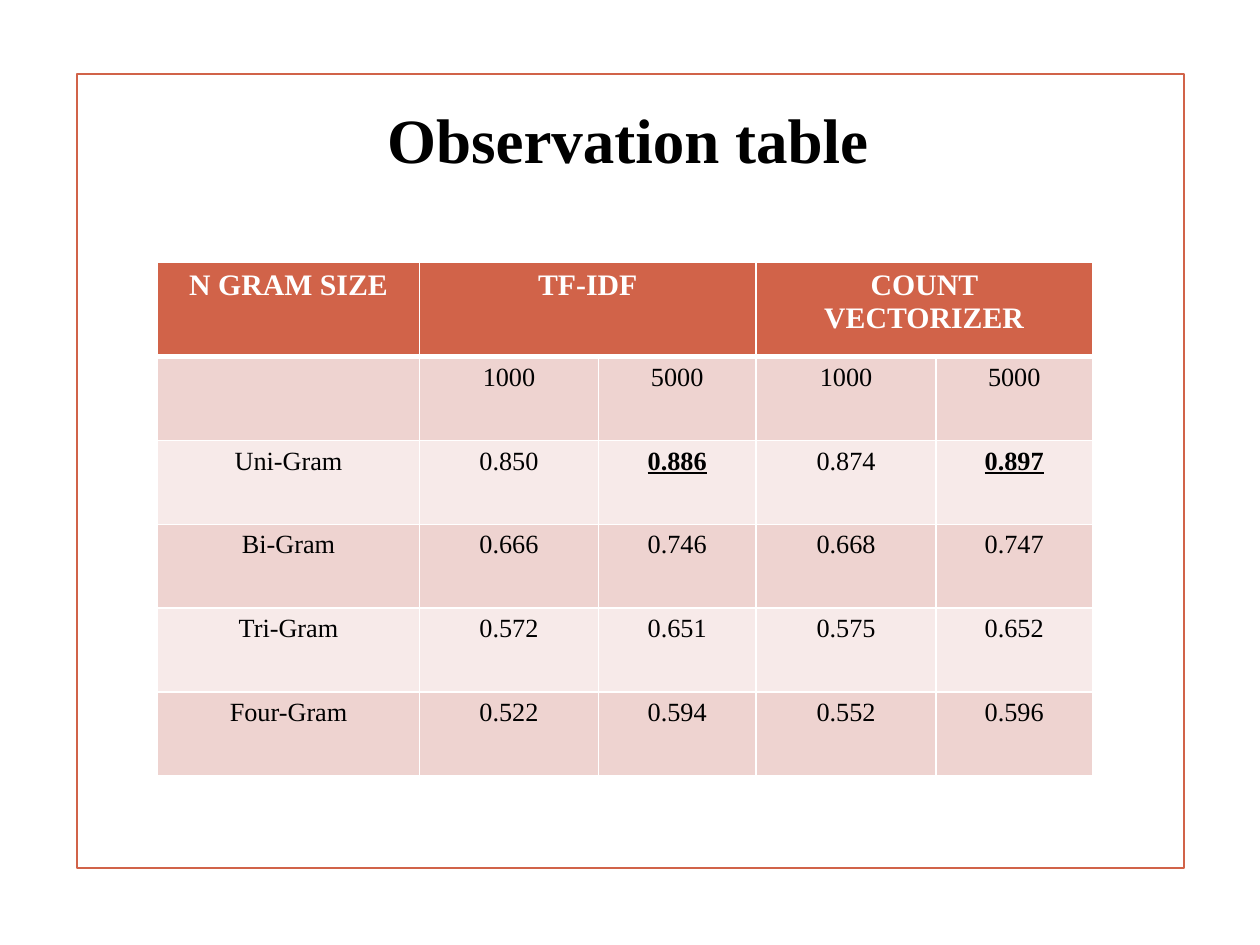
from lxml.etree import SubElement
from pptx import Presentation
from pptx.dml.color import RGBColor
from pptx.enum.shapes import MSO_SHAPE
from pptx.enum.text import MSO_AUTO_SIZE, PP_ALIGN
from pptx.oxml.ns import qn
from pptx.util import Inches, Pt

RUST = RGBColor(0xD1, 0x63, 0x49)
ROSE = RGBColor(0xEE, 0xD3, 0xD0)
PALE_ROSE = RGBColor(0xF7, 0xEA, 0xE9)
WHITE = RGBColor(0xFF, 0xFF, 0xFF)
BLACK = RGBColor(0x00, 0x00, 0x00)

COLUMN_WIDTHS = [2.08, 1.42, 1.25, 1.43, 1.24]
HEADER_HEIGHT = 0.75
TABLE_HEIGHT = 4.08
SCORES = [
    ["N GRAM SIZE", "TF-IDF", "", "COUNT VECTORIZER", ""],
    ["", "1000", "5000", "1000", "5000"],
    ["Uni-Gram", "0.850", "0.886", "0.874", "0.897"],
    ["Bi-Gram", "0.666", "0.746", "0.668", "0.747"],
    ["Tri-Gram", "0.572", "0.651", "0.575", "0.652"],
    ["Four-Gram", "0.522", "0.594", "0.552", "0.596"],
]
BEST_SCORES = {"0.886", "0.897"}
HEADER_SPANS = [(1, 2), (3, 4)]


class SlideBuilder:
    font = "Times New Roman"

    def __init__(self, slide):
        self.slide = slide

    def add_text(self, frame, text, size, color, bold=False, underline=False):
        paragraph = frame.paragraphs[0]
        paragraph.alignment = PP_ALIGN.CENTER
        run = paragraph.add_run()
        run.text = text
        font = run.font
        font.name, font.size = self.font, Pt(size)
        font.bold, font.underline = bold, underline
        font.color.rgb = color

    def frame(self, left, top, width, height):
        border = self.slide.shapes.add_shape(
            MSO_SHAPE.RECTANGLE, Inches(left), Inches(top), Inches(width), Inches(height))
        border.shadow.inherit = False
        border.fill.background()
        border.line.color.rgb = RUST
        border.line.width = Pt(1.25)

    def title(self, text, left, top, width, height):
        heading = self.slide.shapes.add_textbox(
            Inches(left), Inches(top), Inches(width), Inches(height)).text_frame
        heading.word_wrap = True
        heading.auto_size = MSO_AUTO_SIZE.SHAPE_TO_FIT_TEXT
        self.add_text(heading, text, 36, BLACK, bold=True)

    def cell_borders(self, cell, bottom_width):
        """Put white lines round a cell, ahead of its fill as the schema asks."""
        properties = cell._tc.get_or_add_tcPr()
        widths = {"a:lnL": 1, "a:lnR": 1, "a:lnT": 1, "a:lnB": bottom_width}
        for position, (side, width) in enumerate(widths.items()):
            line = SubElement(properties, qn(side), w=str(Pt(width)))
            fill = SubElement(line, qn("a:solidFill"))
            SubElement(fill, qn("a:srgbClr"), val=str(WHITE))
            properties.insert(position, line)

    def table(self, rows, left, top):
        grid = self.slide.shapes.add_table(
            len(rows), len(COLUMN_WIDTHS), Inches(left), Inches(top),
            Inches(sum(COLUMN_WIDTHS)), Inches(TABLE_HEIGHT)).table
        for column, width in zip(grid.columns, COLUMN_WIDTHS):
            column.width = Inches(width)
        body_height = (TABLE_HEIGHT - HEADER_HEIGHT) / (len(rows) - 1)
        for r, values in enumerate(rows):
            is_header = r == 0
            grid.rows[r].height = Inches(HEADER_HEIGHT if is_header else body_height)
            row_fill = RUST if is_header else ROSE if r % 2 else PALE_ROSE
            for c, value in enumerate(values):
                cell = grid.cell(r, c)
                cell.fill.solid()
                cell.fill.fore_color.rgb = row_fill
                self.cell_borders(cell, 3 if is_header else 1)
                if is_header and value:
                    self.add_text(cell.text_frame, value, 17, WHITE, bold=True)
                elif value:
                    best = value in BEST_SCORES
                    self.add_text(cell.text_frame, value, 15, BLACK, best, best)
        for first, last in HEADER_SPANS:
            grid.cell(0, first).merge(grid.cell(0, last))


def main():
    deck = Presentation()
    deck.slide_width, deck.slide_height = Inches(10), Inches(7.5)
    builder = SlideBuilder(deck.slides.add_slide(deck.slide_layouts[6]))
    builder.frame(0.61, 0.59, 8.79, 6.3)
    builder.title("Observation table ", 0.67, 0.75, 8.75, 0.71)
    builder.table(SCORES, 1.25, 2.08)
    deck.save("out.pptx")


if __name__ == "__main__":
    main()
